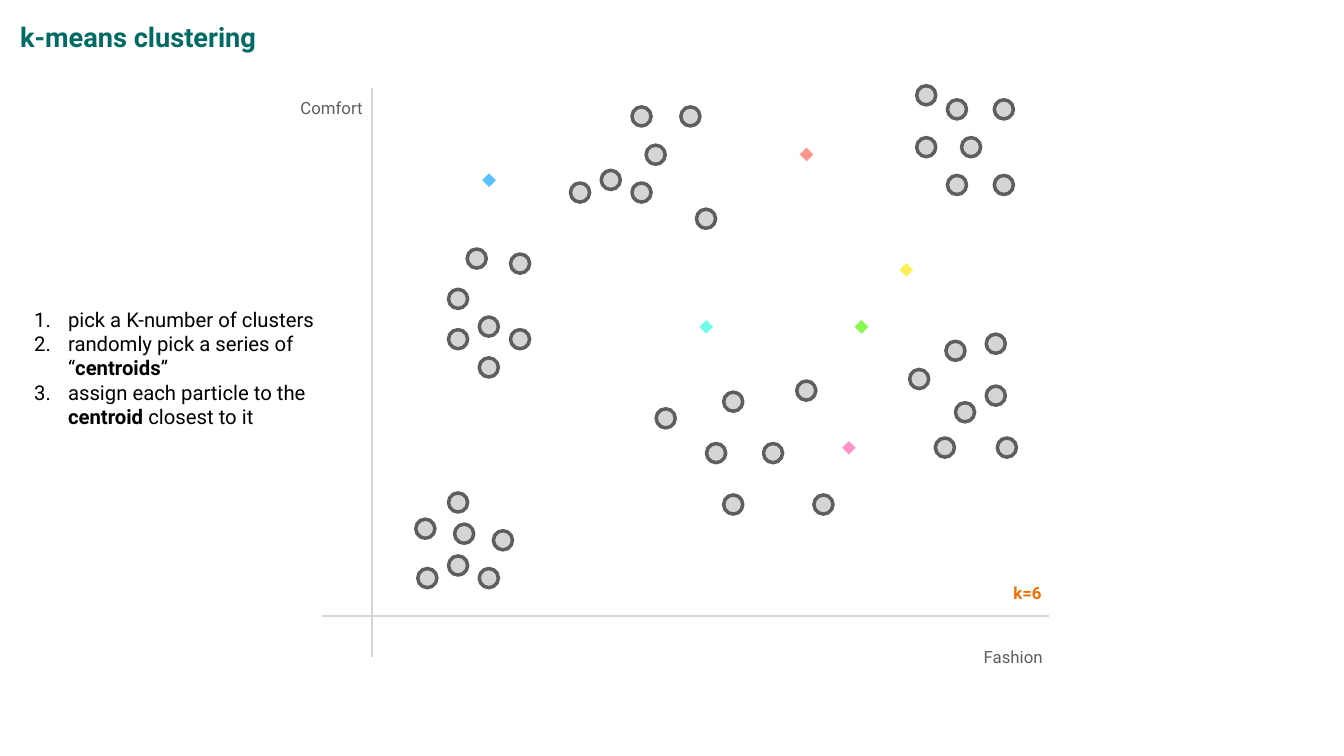
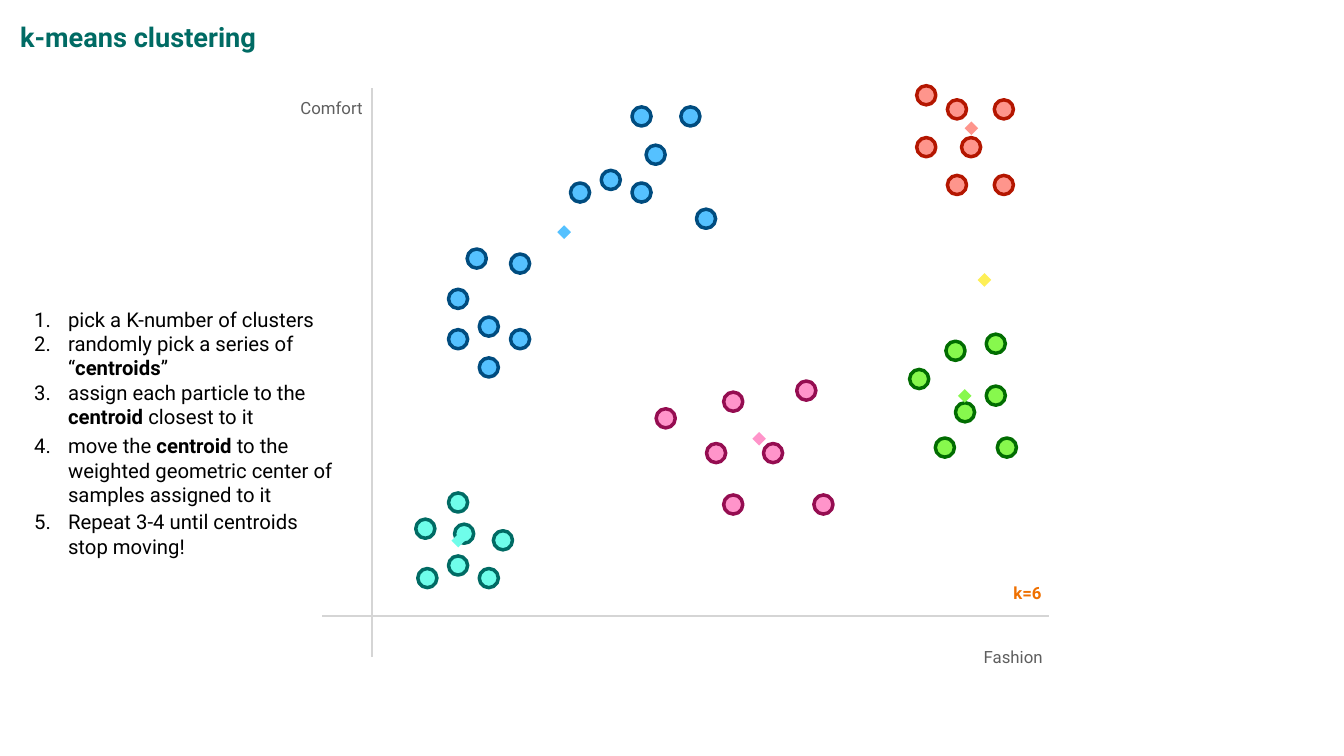
from dataclasses import dataclass

import lxml.etree
import pptx
import pptx.dml.color
import pptx.enum.shapes
import pptx.enum.text
import pptx.oxml.ns
import pptx.util

EMU_PER_PX = 9144  # 100 px to the inch
FONT = "Roboto"
BLACK, GREY, LIGHT_GREY = "000000", "5E5E5E", "D5D5D5"
DARK_TEAL, ORANGE = "006B64", "EF7001"
TEAL, PINK, YELLOW = "6FFDEA", "FF94CA", "FEEF56"
GREEN, RED, BLUE = "87F84D", "FE958C", "55C1FF"

PARTICLE_SIZE, CENTROID_SIZE = 38, 27
TEXT_INSET, LIST_INDENT = 6, 67
LIST_SIZE, LABEL_SIZE, TITLE_SIZE = 29, 24, 38.8

Point = tuple[int, int]
MIDDLE = pptx.enum.text.MSO_ANCHOR.MIDDLE
LEFT, CENTER = pptx.enum.text.PP_ALIGN.LEFT, pptx.enum.text.PP_ALIGN.CENTER


@dataclass(frozen=True)
class Cluster:
    fill: str
    outline: str
    particles: list[Point]


@dataclass(frozen=True)
class Phrase:
    text: str
    bold: bool = False


@dataclass(frozen=True)
class Label:
    phrase: Phrase
    box: tuple[int, int, int, int]
    size: float
    color: str
    align: pptx.enum.text.PP_ALIGN = LEFT
    spacing: float | None = None


@dataclass(frozen=True)
class Steps:
    first_number: int
    top: int
    height: int
    items: list[list[Phrase]]


@dataclass(frozen=True)
class Stage:
    assigned: bool
    centroids: dict[str, Point]
    steps: list[Steps]


CLUSTERS = [
    Cluster(TEAL, DARK_TEAL, [(829, 1128), (951, 1128), (890, 978), (890, 1103),
                              (825, 1030), (902, 1040), (979, 1053)]),
    Cluster(BLUE, "004C7F", [(1132, 363), (1254, 363), (1351, 212), (1193, 338),
                             (1382, 415), (1254, 212), (1282, 288),
                             (890, 654), (1013, 654), (890, 574), (951, 629),
                             (927, 494), (1013, 504), (951, 710)]),
    Cluster(RED, "B41600", [(1819, 273), (1880, 348), (1973, 198), (1819, 170),
                            (1973, 348), (1880, 198), (1908, 273)]),
    Cluster(GREEN, "016D01", [(1856, 869), (1979, 869), (1957, 766), (1957, 663),
                              (1805, 733), (1877, 677), (1896, 799)]),
    Cluster(PINK, "950D51", [(1436, 982), (1581, 756), (1615, 982), (1402, 880),
                             (1302, 811), (1436, 778), (1515, 880)]),
]

AXES = [((739, 1304), (739, 175)), ((2081, 1223), (638, 1223))]

LABELS = [
    Label(Phrase("k-means clustering", True), (34, 37, 490, 84),
          TITLE_SIZE, DARK_TEAL, spacing=0.8),
    Label(Phrase("Comfort"), (585, 187, 146, 53), LABEL_SIZE, GREY, CENTER),
    Label(Phrase("Fashion"), (1940, 1277, 141, 53), LABEL_SIZE, GREY, CENTER),
    Label(Phrase("k=6", True), (2005, 1152, 70, 50), LABEL_SIZE, ORANGE),
]

ASSIGN_STEPS = Steps(1, 603, 253, [
    [Phrase("pick a K-number of clusters")],
    [Phrase("randomly pick a series of “"), Phrase("centroids", True), Phrase("”")],
    [Phrase("assign each particle to the "), Phrase("centroid", True),
     Phrase(" closest to it")],
])
MOVE_STEP = Steps(4, 855, 156, [
    [Phrase("move the "), Phrase("centroid", True),
     Phrase(" to the weighted geometric center of samples assigned to it")],
])
REPEAT_STEP = Steps(5, 1006, 107, [[Phrase("Repeat 3-4 until centroids stop moving!")]])

STAGES = [
    Stage(False,
          {TEAL: (1388, 635), PINK: (1671, 875), YELLOW: (1785, 522),
           GREEN: (1696, 635), RED: (1587, 293), BLUE: (957, 344)},
          [ASSIGN_STEPS]),
    Stage(True,
          {TEAL: (896, 1059), PINK: (1493, 857), YELLOW: (1940, 542),
           GREEN: (1901, 772), RED: (1914, 241), BLUE: (1106, 447)},
          [ASSIGN_STEPS, MOVE_STEP, REPEAT_STEP]),
]


def px(length: int) -> pptx.util.Emu:
    return pptx.util.Emu(length * EMU_PER_PX)


def rgb(color: str) -> pptx.dml.color.RGBColor:
    return pptx.dml.color.RGBColor.from_string(color)


def draw_axis(slide, start: Point, end: Point) -> None:
    axis = slide.shapes.add_connector(
        pptx.enum.shapes.MSO_CONNECTOR.STRAIGHT, *map(px, start + end))
    axis.line.color.rgb = rgb(LIGHT_GREY)
    axis.line.width = pptx.util.Pt(3)
    lxml.etree.SubElement(axis._element.spPr, pptx.oxml.ns.qn("a:effectLst"))


def draw_mark(slide, kind, corner: Point, size: int, fill: str,
              outline: str | None = None) -> None:
    mark = slide.shapes.add_shape(kind, *map(px, (*corner, size, size)))
    mark.shadow.inherit = False
    mark.fill.solid()
    mark.fill.fore_color.rgb = rgb(fill)
    if outline:
        mark.line.color.rgb = rgb(outline)
        mark.line.width = pptx.util.Pt(5)
    else:
        mark.line.fill.background()


def add_text_frame(slide, box: tuple[int, int, int, int]):
    frame = slide.shapes.add_textbox(*map(px, box)).text_frame
    frame.word_wrap = True
    frame.vertical_anchor = MIDDLE
    frame.margin_left = frame.margin_right = px(TEXT_INSET)
    frame.margin_top = frame.margin_bottom = px(TEXT_INSET)
    return frame


def add_phrase(paragraph, phrase: Phrase, size: float, color: str) -> None:
    run = paragraph.add_run()
    run.text = phrase.text
    run.font.name = FONT
    run.font.size = pptx.util.Pt(size)
    run.font.bold = phrase.bold
    run.font.color.rgb = rgb(color)


def draw_label(slide, label: Label) -> None:
    paragraph = add_text_frame(slide, label.box).paragraphs[0]
    paragraph.alignment = label.align
    if label.spacing:
        paragraph.line_spacing = label.spacing
    add_phrase(paragraph, label.phrase, label.size, label.color)


def number_paragraph(paragraph, first_number: int) -> None:
    """Give the paragraph a hanging indent and an automatic number."""
    qn = pptx.oxml.ns.qn
    properties = paragraph._p.get_or_add_pPr()
    properties.set("marL", str(px(LIST_INDENT)))
    properties.set("indent", str(px(-LIST_INDENT)))
    bullet_color = lxml.etree.SubElement(properties, qn("a:buClr"))
    lxml.etree.SubElement(bullet_color, qn("a:srgbClr"), val=BLACK)
    numbering = lxml.etree.SubElement(properties, qn("a:buAutoNum"), type="arabicPeriod")
    if first_number > 1:
        numbering.set("startAt", str(first_number))


def draw_steps(slide, steps: Steps) -> None:
    frame = add_text_frame(slide, (62, steps.top, 613, steps.height))
    frame.auto_size = pptx.enum.text.MSO_AUTO_SIZE.SHAPE_TO_FIT_TEXT
    for index, phrases in enumerate(steps.items):
        paragraph = frame.add_paragraph() if index else frame.paragraphs[0]
        number_paragraph(paragraph, steps.first_number)
        for phrase in phrases:
            add_phrase(paragraph, phrase, LIST_SIZE, BLACK)


def draw_stage(slide, stage: Stage) -> None:
    shapes = pptx.enum.shapes.MSO_SHAPE
    for start, end in AXES:
        draw_axis(slide, start, end)
    for cluster in CLUSTERS:
        fill, outline = ((cluster.fill, cluster.outline) if stage.assigned
                         else (LIGHT_GREY, GREY))
        for corner in cluster.particles:
            draw_mark(slide, shapes.OVAL, corner, PARTICLE_SIZE, fill, outline)
    for color, corner in stage.centroids.items():
        draw_mark(slide, shapes.DIAMOND, corner, CENTROID_SIZE, color)
    for steps in stage.steps:
        draw_steps(slide, steps)
    for label in LABELS:
        draw_label(slide, label)


def main() -> None:
    deck = pptx.Presentation()
    deck.slide_width, deck.slide_height = px(2667), px(1500)
    blank = deck.slide_layouts[6]
    for stage in STAGES:
        draw_stage(deck.slides.add_slide(blank), stage)
    deck.save("out.pptx")


if __name__ == "__main__":
    main()
